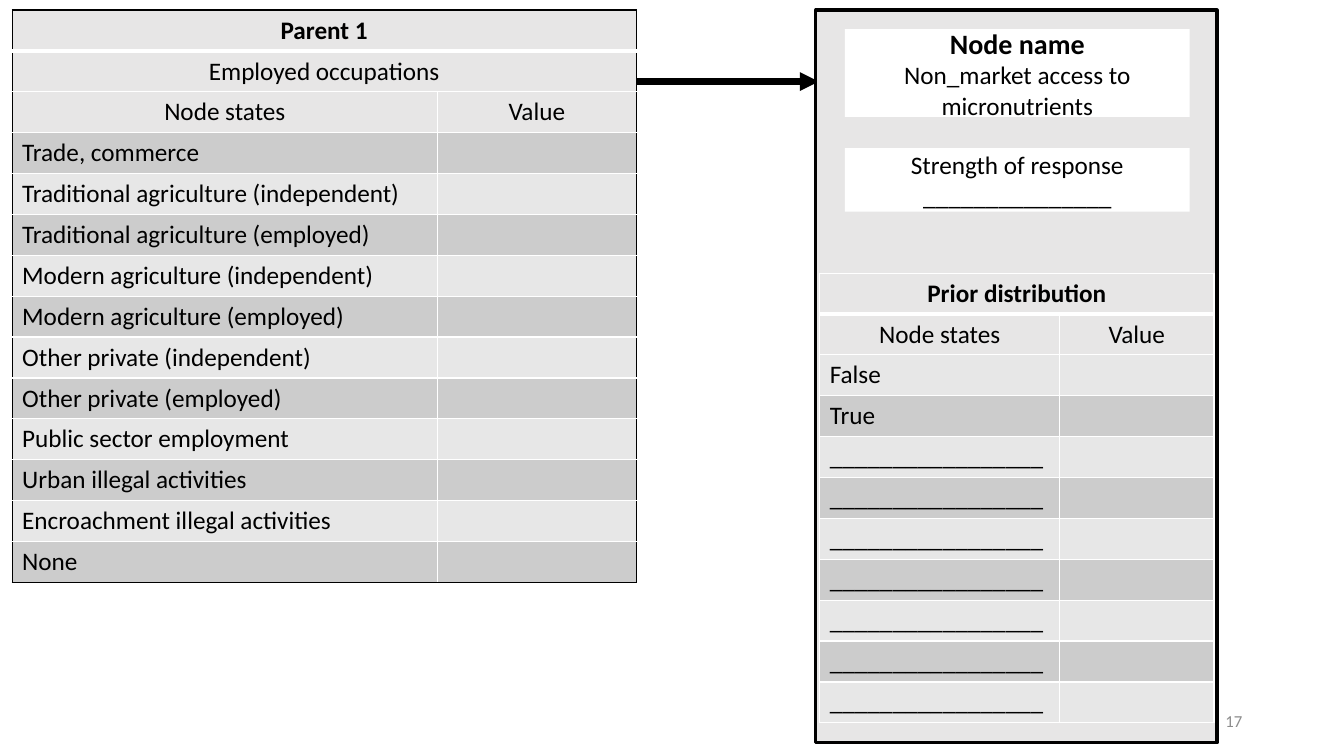
from pptx import Presentation
from pptx.dml.color import RGBColor
from pptx.enum.shapes import MSO_CONNECTOR as Connector, MSO_SHAPE as Shape
from pptx.enum.text import MSO_ANCHOR as Anchor, PP_ALIGN as Align
from pptx.oxml.ns import qn
from pptx.util import Inches, Pt
from lxml.etree import SubElement, Element

BLACK, WHITE, GREY = "000000", "FFFFFF", "8C8C8C"
HEADER, LIGHT, DARK = "E7E6E6", "E7E7E7", "CCCCCC"


def color(hex_string):
    return RGBColor.from_string(hex_string)


class NodeSlide:
    """Draws network node elements on one slide in a shared style."""

    font_name = "Calibri"

    def __init__(self, presentation):
        self.slide = presentation.slides.add_slide(presentation.slide_layouts[6])

    def set_text(self, paragraph, text, size=18, bold=False, align=Align.CENTER, ink=BLACK):
        paragraph.text = text
        paragraph.alignment = align
        font = paragraph.font
        font.name, font.size, font.bold = self.font_name, Pt(size), bold
        font.color.rgb = color(ink)

    def box(self, group, left, top, width, height, fill, lines=(), outline=None):
        shape = group.shapes.add_shape(Shape.RECTANGLE, *map(Inches, (left, top, width, height)))
        shape.shadow.inherit = False
        shape.fill.solid()
        shape.fill.fore_color.rgb = color(fill)
        if outline:
            shape.line.color.rgb = color(outline)
            shape.line.width = Pt(2.25)
        else:
            shape.line.fill.background()
        frame = shape.text_frame
        frame.word_wrap = True
        frame.vertical_anchor = Anchor.MIDDLE
        for index, (text, size, bold) in enumerate(lines):
            paragraph = frame.add_paragraph() if index else frame.paragraphs[0]
            self.set_text(paragraph, text, size, bold)

    def arrow(self, *ends):
        connector = self.slide.shapes.add_connector(Connector.ELBOW, *map(Inches, ends))
        connector.line.color.rgb = color(BLACK)
        connector.line.width = Pt(4.5)
        properties = connector._element.spPr
        SubElement(properties.find(qn("a:ln")), qn("a:tailEnd"), type="triangle")
        SubElement(properties, qn("a:effectLst"))

    def borders(self, cell, sides):
        properties = cell._tc.get_or_add_tcPr()
        for index, (side, (ink, width)) in enumerate(sides.items()):
            line = Element(qn(f"a:ln{side}"), w=str(Pt(width)))
            fill = SubElement(line, qn("a:solidFill"))
            SubElement(fill, qn("a:srgbClr"), val=ink)
            properties.insert(index, line)

    def table(self, left, top, height, widths, headers, states, first_fill, frame):
        rows = [*headers, *((state, "") for state in states)]
        graphic = self.slide.shapes.add_table(
            len(rows), len(widths), *map(Inches, (left, top, sum(widths), height)))
        table = graphic.table
        table.first_row = table.horz_banding = False
        for column, width in zip(table.columns, widths):
            column.width = Inches(width)
        bands = (LIGHT, DARK) if first_fill == LIGHT else (DARK, LIGHT)
        last_row, last_column = len(rows) - 1, len(widths) - 1
        for r, texts in enumerate(rows):
            table.rows[r].height = Inches(height / len(rows))
            spans = len(texts) == 1
            if spans:
                table.cell(r, 0).merge(table.cell(r, last_column))
            is_header = r < len(headers)
            for c in range(len(widths)):
                cell = table.cell(r, c)
                cell.fill.solid()
                cell.fill.fore_color.rgb = color(
                    HEADER if is_header else bands[(r - len(headers)) % 2])
                text = texts[c] if c < len(texts) else ""
                self.set_text(cell.text_frame.paragraphs[0], text, bold=r == 0,
                              align=Align.CENTER if is_header else Align.LEFT)
                edges = {"L": c == 0, "R": spans or c == last_column,
                         "T": r == 0, "B": r == last_row}
                sides = {side: (frame if edge else WHITE, 1) for side, edge in edges.items()}
                if r == 0:
                    sides["B"] = (WHITE, 3)
                self.borders(cell, sides)

    def page_number(self, text):
        shape = self.slide.shapes.add_textbox(*map(Inches, (9.42, 6.95, 3, 0.4)))
        frame = shape.text_frame
        frame.word_wrap = True
        frame.vertical_anchor = Anchor.MIDDLE
        self.set_text(frame.paragraphs[0], text, 12, align=Align.RIGHT, ink=GREY)


def main():
    presentation = Presentation()
    presentation.slide_width, presentation.slide_height = Inches(13.33), Inches(7.5)
    node = NodeSlide(presentation)

    node.arrow(3.13, 0.85, 8.12, 0.81)
    panel = node.slide.shapes.add_group_shape()
    node.box(panel, 8.09, 0.1, 3.98, 7.27, HEADER, outline=BLACK)
    node.box(panel, 8.38, 1.47, 3.42, 0.63, WHITE,
             [("Strength of response", 18, False), ("_______________", 18, False)])
    node.box(panel, 8.38, 0.29, 3.42, 0.87, WHITE,
             [("Node name", 20, True), ("Non_market access to micronutrients", 18, False)])

    column_names = ("Node states", "Value")
    occupations = [
        "Trade, commerce",
        "Traditional agriculture (independent)", "Traditional agriculture (employed)",
        "Modern agriculture (independent)", "Modern agriculture (employed)",
        "Other private (independent)", "Other private (employed)",
        "Public sector employment", "Urban illegal activities",
        "Encroachment illegal activities", "None",
    ]
    node.table(0.12, 0.1, 5.66, (4.22, 1.97),
               [("Parent 1",), ("Employed occupations",), column_names],
               occupations, DARK, BLACK)
    node.table(8.13, 2.71, 4.45, (2.38, 1.53),
               [("Prior distribution",), column_names],
               ["False", "True"] + ["_________________"] * 7, LIGHT, WHITE)
    node.page_number("17")
    presentation.save("out.pptx")


if __name__ == "__main__":
    main()
